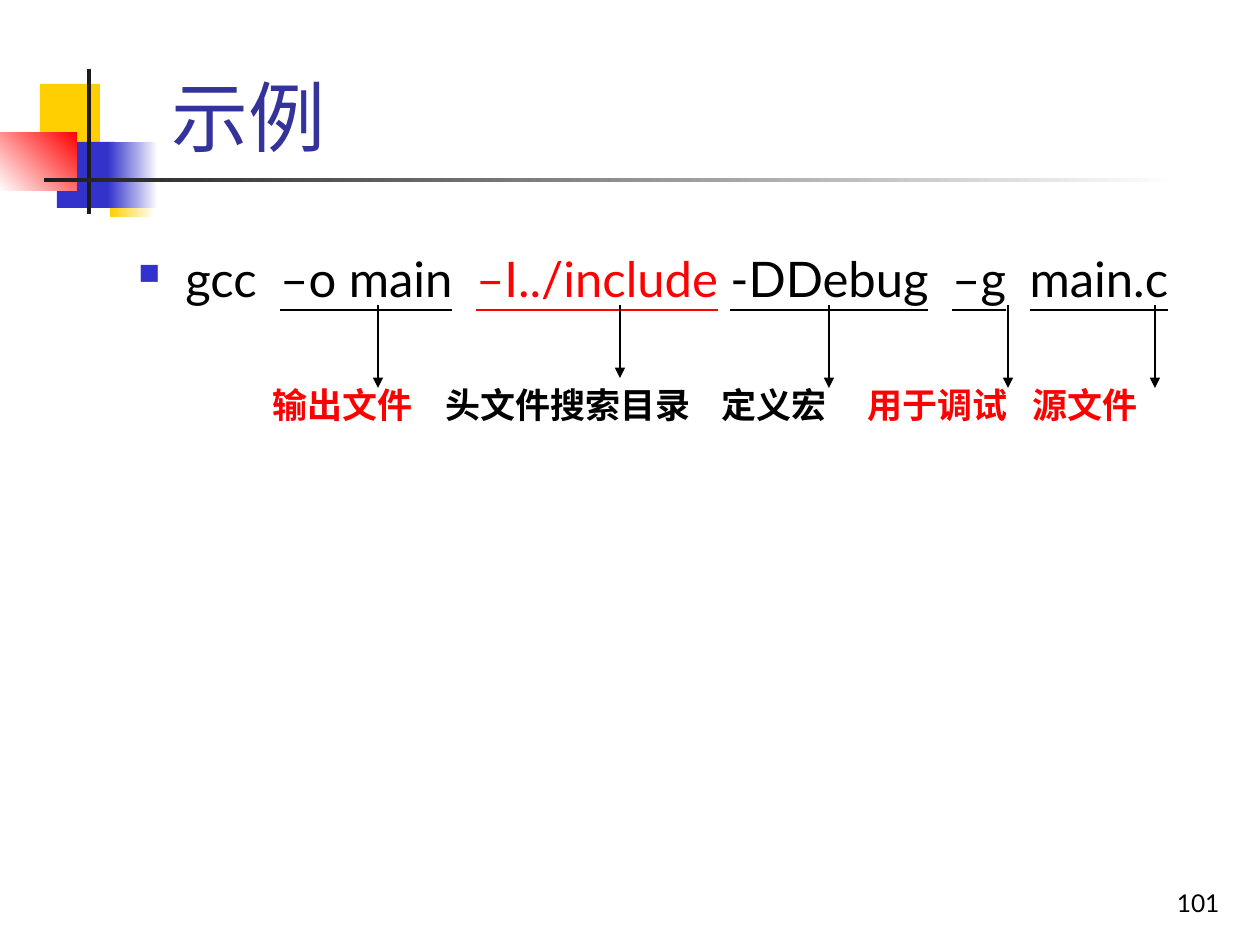
from lxml import etree
from pptx import Presentation
from pptx import util as u
from pptx.dml.color import RGBColor
from pptx.enum import shapes, text
from pptx.oxml.ns import qn

PX = 914400 / 126
FONT = "Lato"
COLORS = {
    "yellow": "FFCF01", "blue": "3333CC", "red": "FF0000", "white": "FFFFFF",
    "dark": "1C1C1C", "title": "333399", "black": "000000",
}


def px(n):
    return u.Emu(round(n * PX))


def rgb(name):
    return RGBColor.from_string(COLORS[name])


def child(parent, tag, **attrs):
    return etree.SubElement(parent, qn(tag), {k: str(v) for k, v in attrs.items()})


class Deck:
    def __init__(self, width, height):
        self.prs = Presentation()
        self.prs.slide_width, self.prs.slide_height = px(width), px(height)
        self.s = self.prs.slides.add_slide(self.prs.slide_layouts[5])

    def block(self, box, color, fade_angle=None):
        """Plain rectangle, or one fading to white along fade_angle (counter-clockwise)."""
        sp = self.s.shapes.add_shape(shapes.MSO_SHAPE.RECTANGLE, *map(px, box))
        sp.shadow.inherit = False
        sp.line.fill.background()
        if fade_angle is None:
            sp.fill.solid()
            sp.fill.fore_color.rgb = rgb(color)
            return
        sp.fill.gradient()
        sp.fill.gradient_angle = fade_angle
        for stop, name in zip(sp.fill.gradient_stops, (color, "white")):
            stop.color.rgb = rgb(name)

    def frame(self, sp, anchor):
        tf = sp.text_frame
        tf.word_wrap = True
        tf.auto_size = text.MSO_AUTO_SIZE.NONE
        tf.vertical_anchor = anchor
        return tf

    def title(self, box, words):
        sp = self.s.shapes.title
        sp.left, sp.top, sp.width, sp.height = map(px, box)
        p = self.frame(sp, text.MSO_ANCHOR.BOTTOM).paragraphs[0]
        p.alignment = text.PP_ALIGN.LEFT
        self.run(p, words, 44, "title")

    def text_box(self, box, anchor=text.MSO_ANCHOR.TOP):
        return self.frame(self.s.shapes.add_textbox(*map(px, box)), anchor)

    def run(self, p, words, size, color="black", bold=False, underline=False):
        r = p.add_run()
        r.text = words
        f = r.font
        f.name, f.size, f.bold, f.underline = FONT, u.Pt(size), bold, underline
        f.color.rgb = rgb(color)
        return r

    def bullet(self, p, indent):
        pPr = p._p.get_or_add_pPr()
        pPr.set("marL", str(px(indent)))
        pPr.set("indent", str(-px(indent)))
        child(child(pPr, "a:buClr"), "a:srgbClr", val=COLORS["blue"])
        child(pPr, "a:buSzPct", val=60000)
        child(pPr, "a:buChar", char="■")

    def tabs(self, p, stops):
        tab_list = child(p._p.get_or_add_pPr(), "a:tabLst")
        for stop in stops:
            child(tab_list, "a:tab", pos=px(stop), algn="l")

    def arrow_down(self, x, top, bottom):
        c = self.s.shapes.add_connector(
            shapes.MSO_CONNECTOR.STRAIGHT, px(x), px(top), px(x), px(bottom))
        c.line.width = u.Pt(0.75)
        c.line.color.rgb = rgb("black")
        child(c.line._get_or_add_ln(), "a:tailEnd", type="triangle")
        child(c._element.spPr, "a:effectLst")


def main():
    d = Deck(1260, 945)

    for box, color, fade in [
        ((40, 84, 60, 66), "yellow", None),
        ((110, 151, 45, 66), "yellow", 0),
        ((57, 142, 58, 66), "blue", None),
        ((108, 142, 50, 66), "blue", 0),
        ((0, 132, 77, 59), "red", 225),
        ((87, 69, 4, 145), "dark", None),
        ((44, 178, 1134, 4), "dark", 0),
    ]:
        d.block(box, color, fade)

    d.title((159, 29, 1074, 139), "示例")

    tf = d.text_box((126, 242, 1108, 604))
    command = tf.paragraphs[0]
    d.bullet(command, 47)
    d.run(command, "gcc", 28)
    # Each option follows a space that is widened by some hundredths of a point.
    for option, color, widening in [
        ("–o main", "black", 630),
        ("–I../include", "red", 630),
        ("-DDebug", "black", 0),
        ("–g", "black", 630),
        ("main.c", "black", 630),
    ]:
        gap = d.run(command, " ", 28)
        gap.font._element.set("spc", str(widening))
        d.run(command, option, 28, color, underline=True)

    labels = tf.add_paragraph()
    d.tabs(labels, (134, 307, 583, 729, 894))
    labels.space_before = u.Pt(44)
    for label, color in [
        ("输出文件", "red"), ("头文件搜索目录", "black"), ("定义宏", "black"),
        ("用于调试", "red"), ("源文件", "red"),
    ]:
        d.run(labels, "\t" + label, 20, color, bold=True)

    for x, bottom in [(378, 388), (620, 378), (829, 388), (1008, 388), (1155, 388)]:
        d.arrow_down(x, 305, bottom)

    number = d.text_box((970, 861, 262, 63), text.MSO_ANCHOR.BOTTOM).paragraphs[0]
    number.alignment = text.PP_ALIGN.RIGHT
    d.run(number, "101", 14)

    d.prs.save("out.pptx")


if __name__ == "__main__":
    main()
